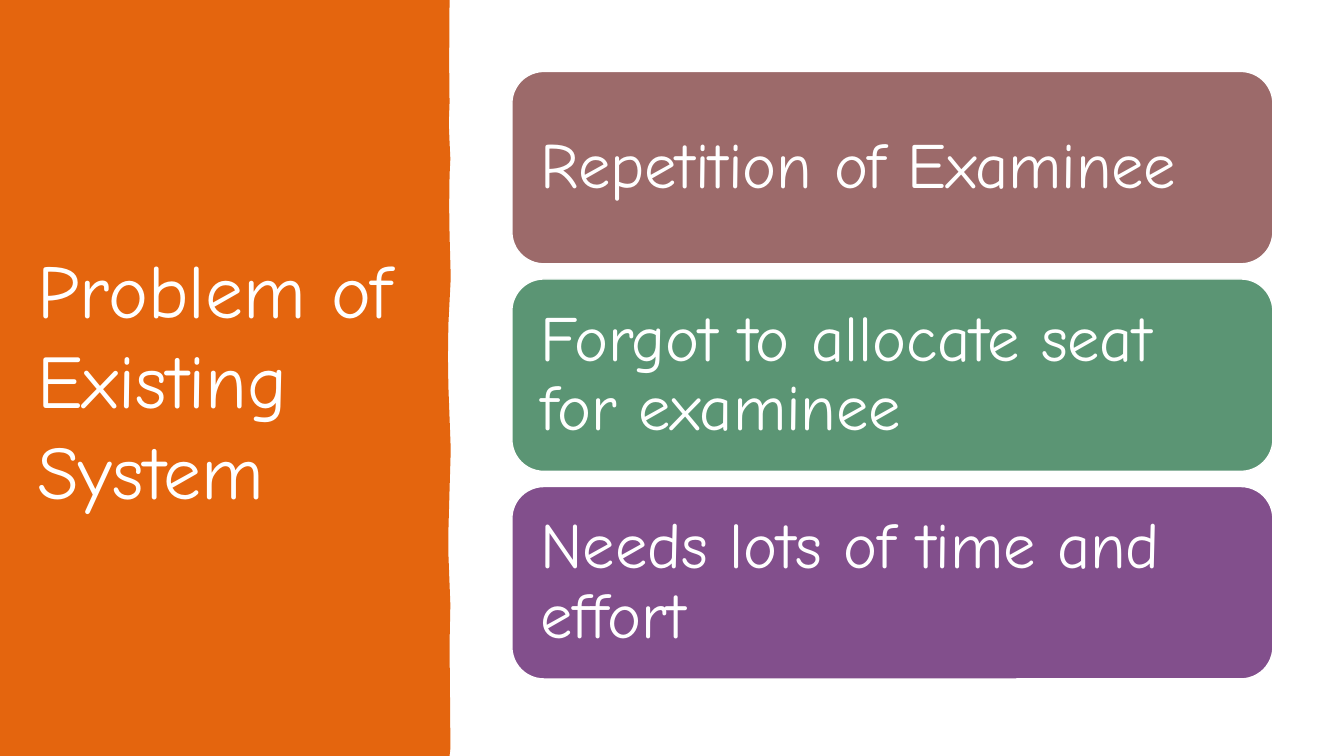
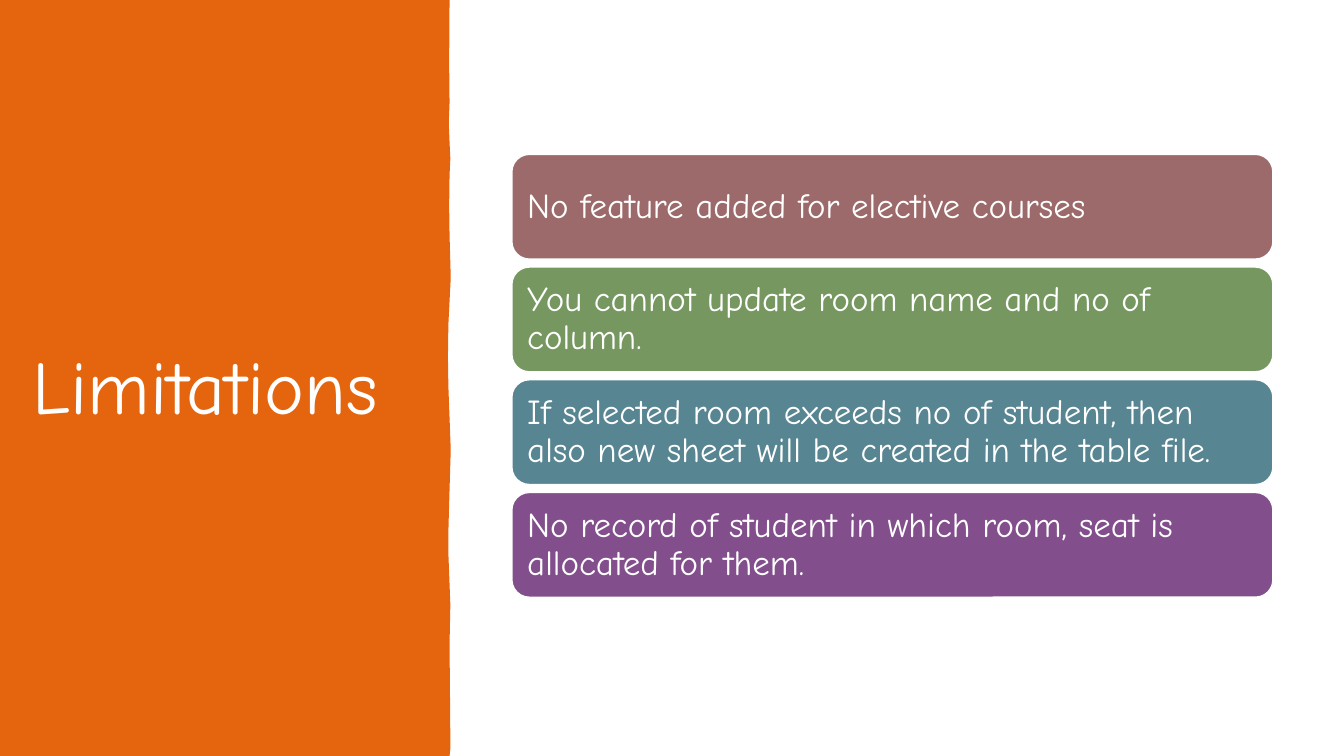
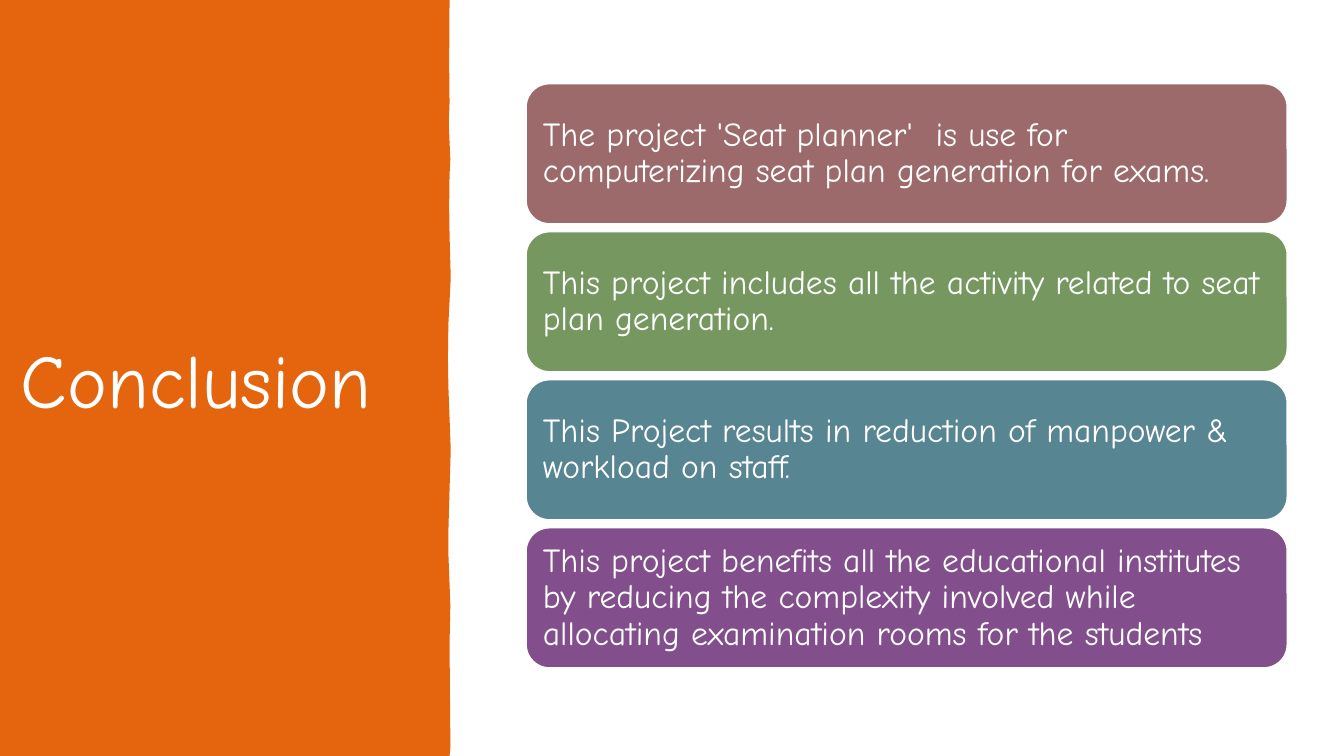
from pptx import Presentation
from pptx.dml.color import RGBColor
from pptx.enum.shapes import MSO_SHAPE
from pptx.enum.text import MSO_ANCHOR, PP_ALIGN
from pptx.util import Cm, Pt

ROUNDED = MSO_SHAPE.ROUNDED_RECTANGLE
MIDDLE = MSO_ANCHOR.MIDDLE
LEFT = PP_ALIGN.LEFT

WHITE = RGBColor(0xFF, 0xFF, 0xFF)
ORANGE = RGBColor(0xE4, 0x65, 0x0E)
ROSE = RGBColor(0x9C, 0x6A, 0x6A)
JADE = RGBColor(0x5B, 0x95, 0x74)
OLIVE = RGBColor(0x76, 0x98, 0x60)
TEAL = RGBColor(0x57, 0x85, 0x92)
PURPLE = RGBColor(0x82, 0x4F, 0x8C)

FONT = "Comic Neue"
TITLE_SIZE = 54
CARD_WIDTH = 19.18
TITLE_HEIGHT = 15.52

# Ragged right edge of the title band, from top to bottom, in cm
BAND_EDGE = [
    (11.33, 0), (11.32, 1.6), (11.33, 2.59), (11.31, 3.1), (11.33, 3.58),
    (11.35, 4), (11.33, 4.42), (11.32, 5.2), (11.33, 5.92), (11.36, 7),
    (11.3, 8.18), (11.29, 9), (11.3, 9.73), (11.36, 11.33), (11.33, 12.34),
    (11.3, 13.41), (11.3, 13.94), (11.35, 15.24), (11.33, 16.23),
    (11.34, 17.4), (11.35, 18.62), (11.35, 18.87), (11.33, 19.05),
]

# title_box: left, top, width; cards: left, top, height, step (all in cm)
SLIDES = [
    {
        "title": "Problem of Existing System",
        "title_box": (0.69, 1.78, 9.7),
        "cards": (12.9, 1.8, 4.85, 5.23),
        "size": 46, "inset": 0.49,
        "points": [
            (ROSE, "Repetition of Examinee"),
            (JADE, "Forgot to allocate seat for examinee"),
            (PURPLE, "Needs lots of time and effort"),
        ],
    },
    {
        "title": "Limitations",
        "title_box": (0.58, 1.93, 10.06),
        "cards": (12.9, 3.89, 2.64, 2.84),
        "size": 25, "inset": 0.26,
        "points": [
            (ROSE, "No feature added for elective courses"),
            (OLIVE, "You cannot update room name and no of column."),
            (TEAL, "If selected room exceeds no of student, then also new "
                   "sheet will be created in the table file."),
            (PURPLE, "No record of student in which room, seat is "
                     "allocated for them."),
        ],
    },
    {
        "title": "Conclusion",
        "title_box": (0.28, 1.78, 10.08),
        "cards": (13.26, 2.11, 3.53, 3.73),
        "size": 24, "inset": 0.25,
        "points": [
            (ROSE, "The project 'Seat planner'  is use for computerizing "
                   "seat plan generation for exams."),
            (OLIVE, "This project includes all the activity related to seat "
                    "plan generation."),
            (TEAL, "This Project results in reduction of manpower & "
                   "workload on staff."),
            (PURPLE, "This project benefits all the educational institutes "
                     "by reducing the complexity involved while allocating "
                     "examination rooms for the students"),
        ],
    },
]


def write_text(shape, text, size, inset, line_spacing):
    """Fill a shape with one white, left-aligned, vertically centred paragraph."""
    frame = shape.text_frame
    frame.word_wrap = True
    frame.vertical_anchor = MIDDLE
    frame.margin_left = frame.margin_right = Cm(inset)
    frame.margin_top = frame.margin_bottom = Cm(inset)
    paragraph = frame.paragraphs[0]
    paragraph.alignment = LEFT
    paragraph.line_spacing = line_spacing
    run = paragraph.add_run()
    run.text = text
    run.font.name = FONT
    run.font.size = Pt(size)
    run.font.color.rgb = WHITE


prs = Presentation()
prs.slide_width = Cm(33.87)
prs.slide_height = Cm(19.05)
blank = prs.slide_layouts[6]

for content in SLIDES:
    slide = prs.slides.add_slide(blank)

    outline = slide.shapes.build_freeform(0, 0)
    corners = BAND_EDGE + [(0, 19.05)]
    outline.add_line_segments([(Cm(x), Cm(y)) for x, y in corners], close=True)
    band = outline.convert_to_shape()
    band.shadow.inherit = False
    band.fill.solid()
    band.fill.fore_color.rgb = ORANGE
    band.line.fill.background()

    left, top, width = content["title_box"]
    title = slide.shapes.add_textbox(Cm(left), Cm(top), Cm(width), Cm(TITLE_HEIGHT))
    write_text(title, content["title"], TITLE_SIZE, 0.25, 1.0)

    left, top, height, step = content["cards"]
    for row, (color, point) in enumerate(content["points"]):
        card = slide.shapes.add_shape(
            ROUNDED, Cm(left), Cm(top + row * step), Cm(CARD_WIDTH), Cm(height))
        card.shadow.inherit = False
        card.fill.solid()
        card.fill.fore_color.rgb = color
        card.line.color.rgb = WHITE
        card.line.width = Pt(1)
        write_text(card, point, content["size"], content["inset"], 0.9)

prs.save("out.pptx")
